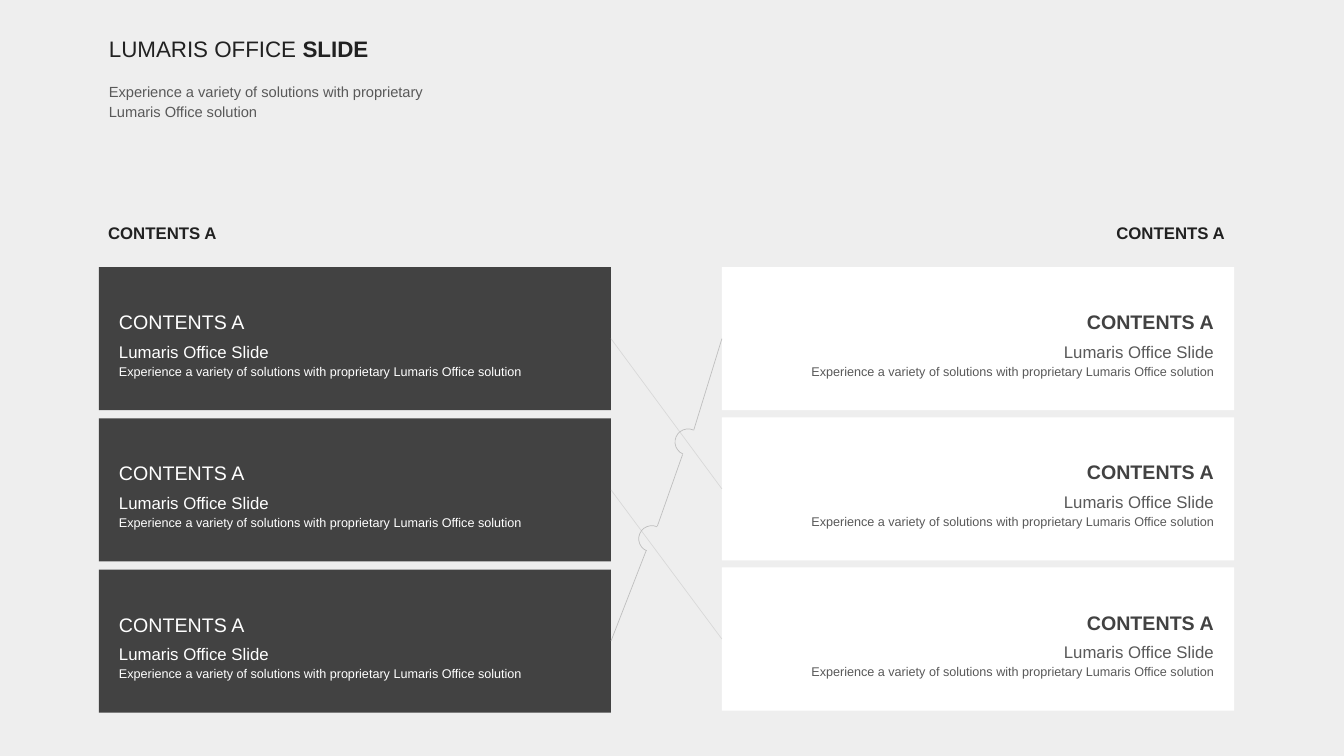
from lxml.etree import SubElement
from pptx import Presentation
from pptx.dml.color import RGBColor
from pptx.enum.shapes import MSO_CONNECTOR, MSO_SHAPE
from pptx.enum.text import MSO_ANCHOR, MSO_AUTO_SIZE, PP_ALIGN
from pptx.oxml.ns import qn
from pptx.util import Emu, Pt

COLORS = {
    "background": "EEEEEE",
    "dark": "424242",
    "white": "FFFFFF",
    "ink": "212121",
    "gray": "595959",
    "pale_line": "D9D9D9",
    "line": "BFBFBF",
}
FONT = "Arial"
CARD_WIDTH, CARD_HEIGHT = 508, 142
CARD_LINES = (
    "CONTENTS A",
    "Lumaris Office Slide",
    "Experience a variety of solutions with proprietary Lumaris Office solution",
)


def px(length):
    """One px is a hundredth of an inch."""
    return Emu(length * 9144)


def color(name):
    return RGBColor.from_string(COLORS[name])


def style(para, size, color_name, spacing, bold=None, align=PP_ALIGN.LEFT, before=0):
    para.alignment = align
    para.line_spacing = spacing
    para.space_before = Pt(before)
    font = para.font
    font.name, font.size, font.bold = FONT, Pt(size), bold
    font.color.rgb = color(color_name)


def add_heading(page, left, top, width, height):
    box = page.shapes.title
    box.left, box.top, box.width, box.height = map(px, (left, top, width, height))
    frame = box.text_frame
    frame.word_wrap = True
    frame.auto_size = MSO_AUTO_SIZE.NONE
    frame.vertical_anchor = MSO_ANCHOR.TOP
    title = frame.paragraphs[0]
    title.add_run().text = "LUMARIS OFFICE "
    strong = title.add_run()
    strong.text = "SLIDE"
    strong.font.bold = True
    style(title, 16, "ink", 1.15)
    subtitle = (
        ("Experience a variety of solutions with proprietary", 13),
        ("Lumaris Office solution", 0),
    )
    for text, before in subtitle:
        para = frame.add_paragraph()
        para.text = text
        style(para, 10.5, "gray", 1.15, before=before)


def add_label(page, left, top):
    box = page.shapes.add_textbox(px(left), px(top), px(128), px(40))
    frame = box.text_frame
    frame.word_wrap = False
    frame.auto_size = MSO_AUTO_SIZE.SHAPE_TO_FIT_TEXT
    frame.text = "CONTENTS A"
    style(frame.paragraphs[0], 12, "ink", 1.5, True, PP_ALIGN.CENTER)


def add_card(page, left, top, dark):
    card = page.shapes.add_shape(
        MSO_SHAPE.RECTANGLE, px(left), px(top), px(CARD_WIDTH), px(CARD_HEIGHT))
    card.shadow.inherit = False
    card.fill.solid()
    card.fill.fore_color.rgb = color("dark" if dark else "white")
    card.line.fill.background()
    frame = card.text_frame
    frame.word_wrap = True
    frame.vertical_anchor = MSO_ANCHOR.MIDDLE
    frame.margin_left, frame.margin_right = (px(20), px(10)) if dark else (px(10), px(20))
    align = PP_ALIGN.LEFT if dark else PP_ALIGN.RIGHT
    head_color, body_color = ("white", "white") if dark else ("dark", "gray")
    frame.text = "\n".join(CARD_LINES)
    head, name, detail = frame.paragraphs
    style(head, 14, head_color, 1.5, not dark, align)
    style(name, 12, body_color, 1.15, False, align, before=3.5)
    style(detail, 9, body_color, 1.15, False, align)
    return card


def add_column(page, left, top, pitch, dark):
    return [add_card(page, left, top + row * pitch, dark) for row in range(3)]


def add_link(page, color_name, start=(0, 0), end=(0, 0), left_card=None, right_card=None):
    """Draw a line; a card, where given, takes the place of a point."""
    link = page.shapes.add_connector(
        MSO_CONNECTOR.STRAIGHT, *map(px, start), *map(px, end))
    if left_card is not None:
        link.begin_connect(left_card, 3)
    if right_card is not None:
        link.end_connect(right_card, 1)
    link.line.color.rgb = color(color_name)
    link.line.width = Pt(0.5)
    SubElement(link._element.spPr, qn("a:effectLst"))


def add_bridge(page, left, top):
    arc = page.shapes.add_shape(
        MSO_SHAPE.LEFT_BRACKET, px(left), px(top), px(13), px(26))
    arc.shadow.inherit = False
    arc.adjustments[0] = 1.02
    arc.rotation = 23
    arc.fill.background()
    arc.line.color.rgb = color("line")
    arc.line.width = Pt(0.5)


def add_crossing(page, left_cards, right_cards):
    # Falling lines, each to the next card down
    for left_card, right_card in zip(left_cards, right_cards[1:]):
        add_link(page, "pale_line", left_card=left_card, right_card=right_card)
    # Rising line, which hops over both falling ones
    add_link(page, "line", end=(641, 546), left_card=left_cards[2])
    add_bridge(page, 634, 519)
    add_link(page, "line", start=(652, 522), end=(677, 451))
    add_bridge(page, 670, 423)
    add_link(page, "line", start=(688, 427), right_card=right_cards[0])


def main():
    deck = Presentation()
    deck.slide_width, deck.slide_height = px(1333), px(750)
    page = deck.slides.add_slide(deck.slide_layouts[5])
    page.background.fill.solid()
    page.background.fill.fore_color.rgb = color("background")

    add_heading(page, 98, 26, 528, 101)
    for left in (97, 1097):
        add_label(page, left, 206)
    left_cards = add_column(page, 98, 265, 150, dark=True)
    right_cards = add_column(page, 716, 265, 149, dark=False)
    add_crossing(page, left_cards, right_cards)
    deck.save("out.pptx")


if __name__ == "__main__":
    main()
